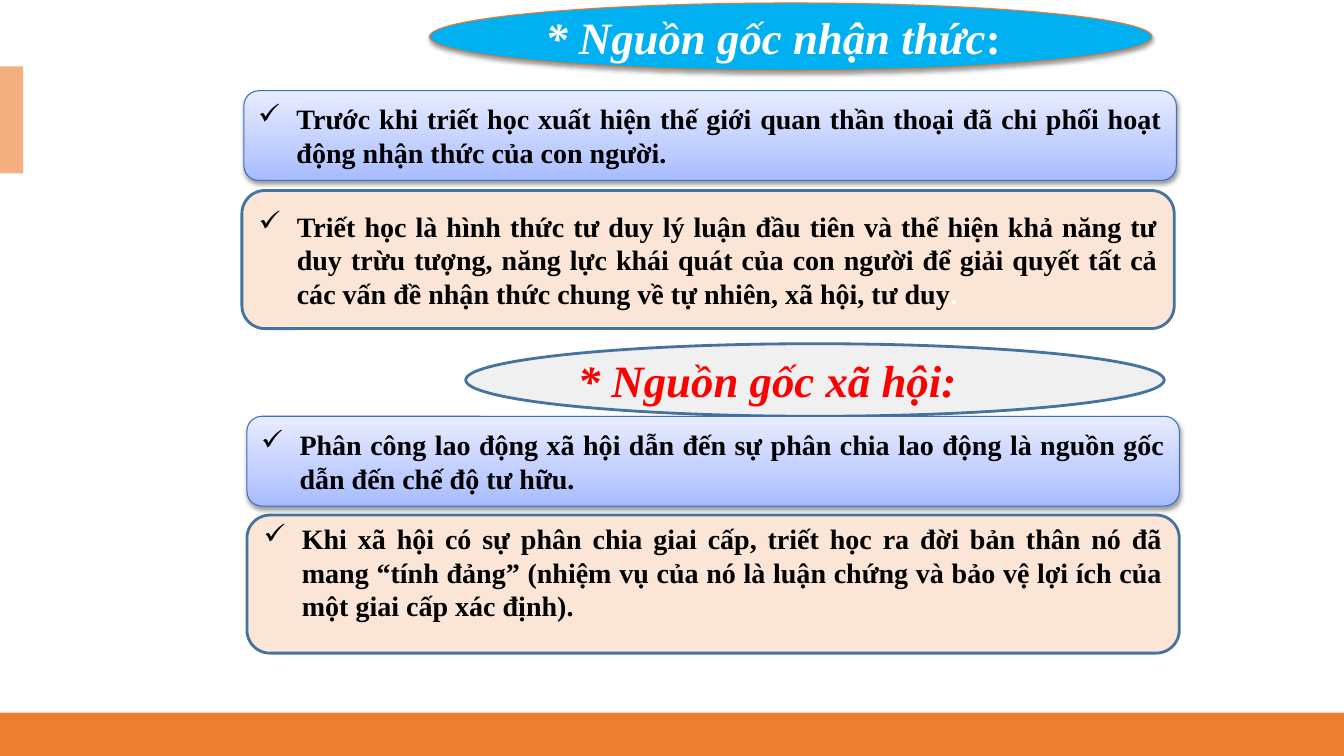
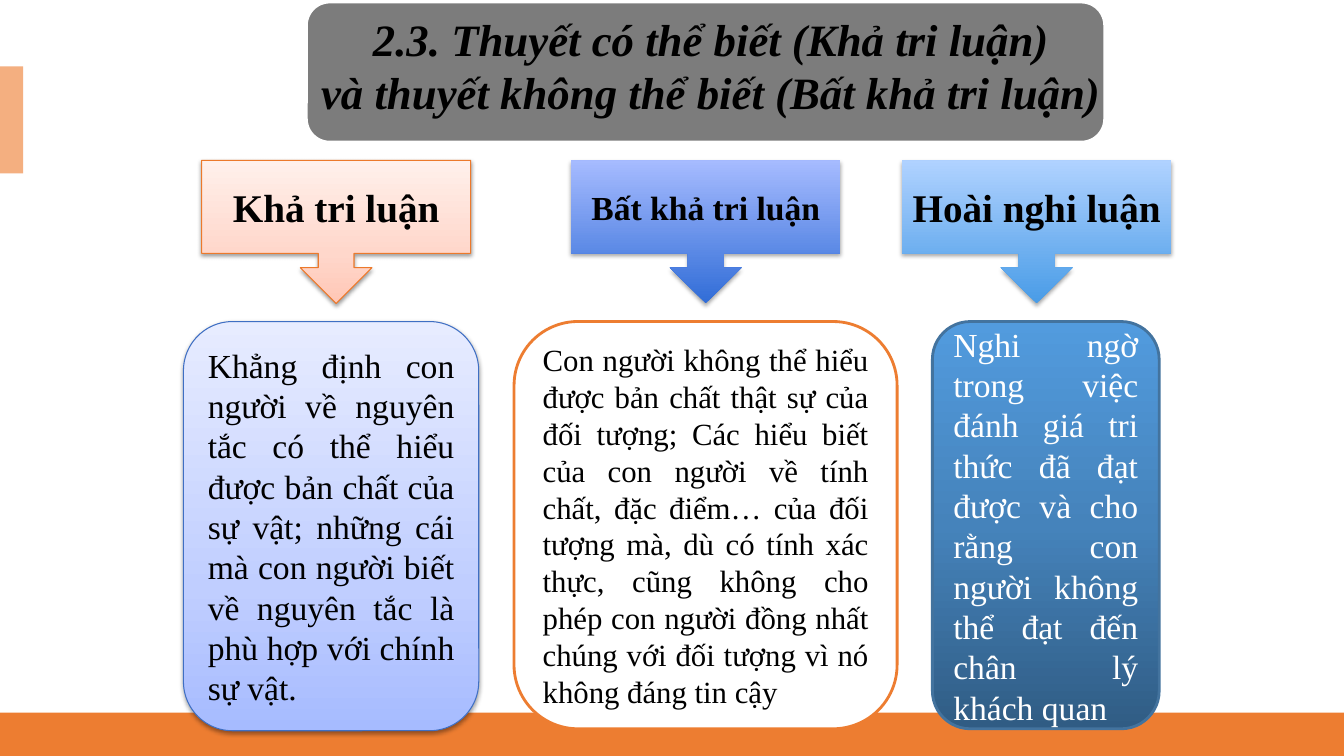
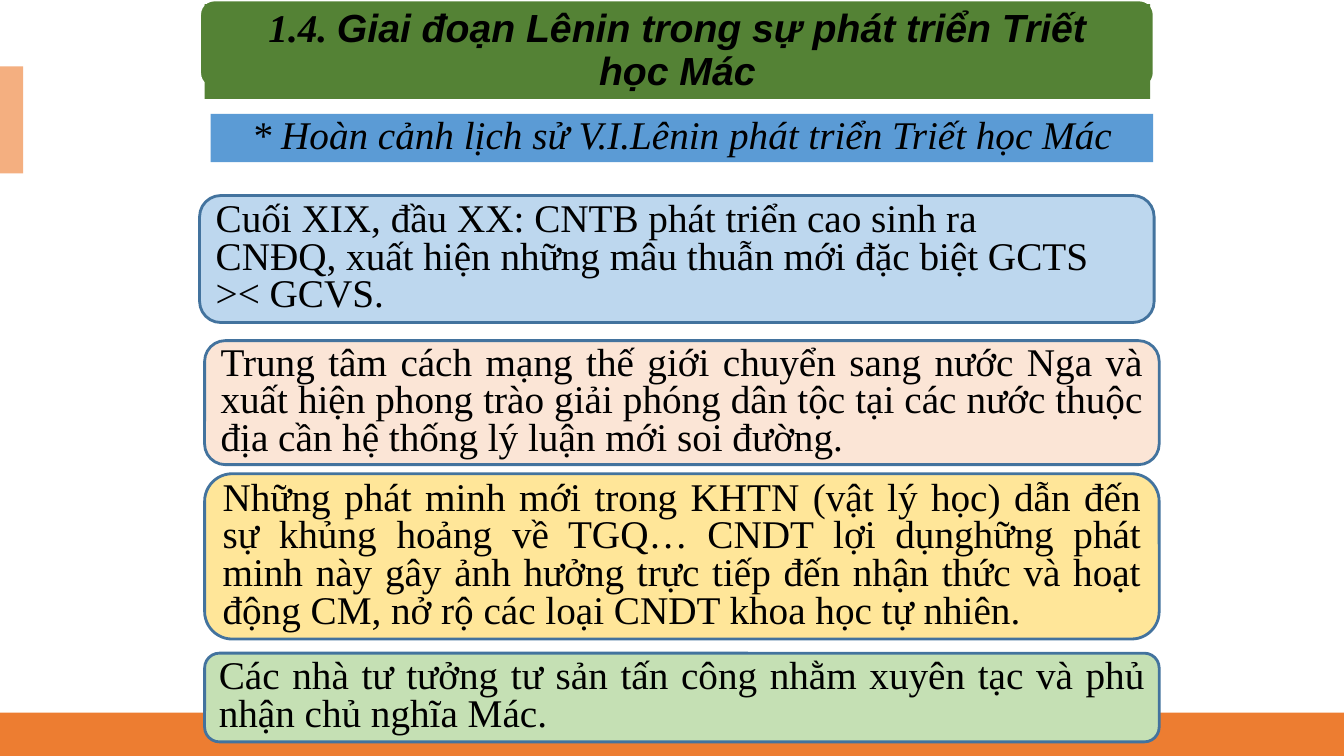
"""Build three lecture slides on the origins, schools and stages of philosophy."""
from lxml.etree import SubElement
from pptx import Presentation
from pptx.dml.color import RGBColor
from pptx.enum.shapes import MSO_SHAPE
from pptx.enum.text import MSO_ANCHOR, MSO_AUTO_SIZE, PP_ALIGN
from pptx.oxml.ns import qn
from pptx.util import Inches, Pt

SERIF = "Times New Roman"
BLACK, WHITE, RED = "000000", "FFFFFF", "FF0000"
ORANGE, PEACH, GREEN = "ED7D31", "FBE5D6", "548235"
STEEL_LINE = ("43739E", 2)
WHITE_LINE = (WHITE, 2)
BLUE_LINE = ("3F6FC3", 0.75)
ORANGE_LINE = ("EC792B", 0.75)
LAVENDER = [(0, "A6BBFF"), (35, "C0CEFF"), (100, "E7ECFF")]
ROSE = [(0, "FFC7B6"), (35, "FFD7CB"), (100, "FFF0EB")]
ROYAL = [(0, "316DD7"), (100, "A6BBFF")]
SKY = [(0, "499CE7"), (100, "B0D2FF")]
DEEP = [(0, "305C84"), (50, "4583BB"), (100, "529BDE")]
SOFT_SHADOW = (38, 1.6)
FIRM_SHADOW = (35, 1.8)

presentation = Presentation()
presentation.slide_width = Inches(13.333)
presentation.slide_height = Inches(7.5)
COLUMN = presentation.slide_width / 40
ROW = presentation.slide_height / 30


def add_box(slide, geometry, box, fill, line=None, shadow=None):
    """Add a preset shape at a (column, row, columns, rows) box."""
    column, row, columns, rows = box
    shape = slide.shapes.add_shape(geometry, int(column * COLUMN), int(row * ROW),
                                   int(columns * COLUMN), int(rows * ROW))
    if isinstance(fill, str):
        shape.fill.solid()
        shape.fill.fore_color.rgb = RGBColor.from_string(fill)
    else:
        shape.fill.gradient()
        shape.fill.gradient_angle = 90
        stops = shape.element.spPr.find(".//" + qn("a:gsLst"))
        stops.clear()
        for position, color in fill:
            stop = SubElement(stops, qn("a:gs"), pos=str(position * 1000))
            SubElement(stop, qn("a:srgbClr"), val=color)
    if line:
        shape.line.color.rgb = RGBColor.from_string(line[0])
        shape.line.width = Pt(line[1])
    else:
        shape.line.fill.background()
    shape.shadow.inherit = False
    if shadow:
        opacity, distance = shadow
        effects = shape.element.spPr.find(qn("a:effectLst"))
        outer = SubElement(effects, qn("a:outerShdw"), blurRad=str(Pt(3.1)),
                           dist=str(Pt(distance)), dir="5400000", rotWithShape="0")
        color = SubElement(outer, qn("a:srgbClr"), val=BLACK)
        SubElement(color, qn("a:alpha"), val=str(opacity * 1000))
    return shape


def write(shape, runs, size, color=BLACK, align=PP_ALIGN.JUSTIFY, spacing=1.0,
          bold=False, italic=False, bullet=False):
    """Fill a shape with one paragraph of (text, font changes) runs."""
    frame = shape.text_frame
    frame.word_wrap = True
    frame.auto_size = MSO_AUTO_SIZE.NONE
    frame.vertical_anchor = MSO_ANCHOR.MIDDLE
    paragraph = frame.paragraphs[0]
    if bullet:
        properties = paragraph._p.get_or_add_pPr()
        properties.set("marL", str(Inches(0.38)))
        properties.set("indent", str(-Inches(0.38)))
        bullet_color = SubElement(properties, qn("a:buClr"))
        SubElement(bullet_color, qn("a:srgbClr"), val=BLACK)
        SubElement(properties, qn("a:buChar"), char="✓")
    paragraph.alignment = align
    paragraph.line_spacing = spacing
    for text, changes in runs:
        for index, piece in enumerate(text.split("\n")):
            if index:
                paragraph.add_line_break()
            run = paragraph.add_run()
            run.text = piece
            run.font.name = changes.get("name", SERIF)
            run.font.size = Pt(size)
            run.font.bold = bold
            run.font.italic = changes.get("italic", italic)
            run.font.color.rgb = RGBColor.from_string(changes.get("color", color))


titles = [
    ((MSO_SHAPE.OVAL, (12.78, 0.12, 21.51, 2.68), "00B0F0", ORANGE_LINE, SOFT_SHADOW),
     (15.93, 0.12, 15.21, 2.68), None, 0.1, 32, WHITE, PP_ALIGN.LEFT, 1.0,
     [("* Nguồn gốc nhận thức", {}), (":", {"italic": False})]),
    ((MSO_SHAPE.ROUNDED_RECTANGLE, (9.12, 0.08, 23.76, 5.56), "7C7C7C", WHITE_LINE),
     (9.45, 0.08, 23.43, 5), None, 0, 32, BLACK, PP_ALIGN.CENTER, 1.0,
     [("2.3. Thuyết có thể biết (Khả tri luận)\n"
       "và thuyết không thể biết (Bất khả tri luận)", {})]),
    ((MSO_SHAPE.ROUNDED_RECTANGLE, (5.94, 0, 28.41, 3.48), GREEN, WHITE_LINE),
     (6.09, 0.16, 28.14, 3.76), GREEN, 0.24, 28, BLACK, PP_ALIGN.CENTER, 0.9,
     [("1.4. ", {}),
      ("Giai đoạn Lênin trong sự phát triển Triết học Mác", {"name": "Arial"})]),
]
slides = []
for backdrop, box, fill, margin, size, color, align, spacing, runs in titles:
    slide = presentation.slides.add_slide(presentation.slide_layouts[5])
    slides.append(slide)
    add_box(slide, *backdrop)
    title = slide.shapes.title
    slide.shapes.element.append(title.element)
    title.left, title.top = int(box[0] * COLUMN), int(box[1] * ROW)
    title.width, title.height = int(box[2] * COLUMN), int(box[3] * ROW)
    if fill:
        title.fill.solid()
        title.fill.fore_color.rgb = RGBColor.from_string(fill)
    frame = title.text_frame
    frame.margin_left = frame.margin_right = Inches(margin)
    frame.margin_top = frame.margin_bottom = 0
    write(title, runs, size, color, align, spacing, bold=True, italic=True)

origins, schools, lenin_stage = slides

master_tree = presentation.slide_master.shapes.element
for box, fill in [((0, 2.64, 0.69, 4.24), "F4AF80"), ((0, 28.28, 40, 1.72), ORANGE)]:
    band = add_box(origins, MSO_SHAPE.RECTANGLE, box, fill)
    master_tree.insert(2, band.element)

social_heading = add_box(origins, MSO_SHAPE.OVAL, (13.86, 13.64, 20.79, 2.88), "F1F0F0", STEEL_LINE)
write(social_heading, [("* Nguồn gốc xã hội:", {})], 32, RED, PP_ALIGN.LEFT, bold=True, italic=True)

lavender_style = (LAVENDER, BLUE_LINE, SOFT_SHADOW)
peach_style = (PEACH, STEEL_LINE)
origin_cards = [
    (7.26, 3.6, 3.56, lavender_style,
     [("Trước khi triết học xuất hiện thế giới quan thần thoại đã chi phối hoạt động "
       "nhận thức của con người.", {})]),
    (7.2, 7.56, 5.48, peach_style,
     [("Triết học là hình thức tư duy lý luận đầu tiên và thể hiện khả năng tư duy trừu "
       "tượng, năng lực khái quát của con người để giải quyết tất cả các vấn đề nhận thức "
       "chung về tự nhiên, xã hội, tư duy", {}), (".", {"color": WHITE})]),
    (7.35, 16.52, 3.56, lavender_style,
     [("Phân công lao động xã hội dẫn đến sự phân chia lao động là nguồn gốc dẫn đến "
       "chế độ tư hữu.", {})]),
    (7.35, 20.44, 5.48, peach_style,
     [("Khi xã hội có sự phân chia giai cấp, triết học ra đời bản thân nó đã mang “tính "
       "đảng” (nhiệm vụ của nó là luận chứng và bảo vệ lợi ích của một giai cấp xác "
       "định).", {})]),
]
for column, row, rows, style, runs in origin_cards:
    card = add_box(origins, MSO_SHAPE.ROUNDED_RECTANGLE, (column, row, 27.75, rows), *style)
    write(card, runs, 20, bold=True, bullet=True)
card.text_frame.vertical_anchor = MSO_ANCHOR.TOP
card.text_frame.margin_top = 0

school_callouts = [
    (6, ROSE, ORANGE_LINE, SOFT_SHADOW, 28, "Khả tri luận"),
    (17, ROYAL, None, FIRM_SHADOW, 24, "Bất khả tri luận"),
    (26.85, SKY, None, FIRM_SHADOW, 28, "Hoài nghi luận"),
]
for column, fill, line, shadow, size, name in school_callouts:
    callout = add_box(schools, MSO_SHAPE.DOWN_ARROW_CALLOUT, (column, 6.36, 8.01, 5.68),
                      fill, line, shadow)
    write(callout, [(name, {})], size, align=PP_ALIGN.CENTER, bold=True)

school_panels = [
    (5.46, 8.79, 16.24, lavender_style, 24, BLACK,
     "Khẳng định con người về nguyên tắc có thể hiểu được bản chất của sự vật; những cái "
     "mà con người biết về nguyên tắc là phù hợp với chính sự vật."),
    (15.3, 11.4, 16.16, (WHITE, (ORANGE, 2)), 22, BLACK,
     "Con người không thể hiểu được bản chất thật sự của đối tượng; Các hiểu biết của con "
     "người về tính chất, đặc điểm… của đối tượng mà, dù có tính xác thực, cũng không cho "
     "phép con người đồng nhất chúng với đối tượng vì nó không đáng tin cậy"),
    (27.75, 6.75, 16.16, (DEEP, STEEL_LINE), 24, WHITE,
     "Nghi ngờ trong việc đánh giá tri thức đã đạt được và cho rằng con người không thể "
     "đạt đến chân lý khách quan"),
]
for column, columns, rows, style, size, color, text in school_panels:
    panel = add_box(schools, MSO_SHAPE.FLOWCHART_ALTERNATE_PROCESS,
                    (column, 12.76, columns, rows), *style)
    write(panel, [(text, {})], size, color)

context_heading = add_box(lenin_stage, MSO_SHAPE.RECTANGLE, (6.27, 4.52, 28.05, 1.92), "5B9BD5")
write(context_heading, [("* Hoàn cảnh lịch sử V.I.Lênin phát triển Triết học Mác", {})], 28,
      align=PP_ALIGN.CENTER, spacing=0.8, italic=True)

context_cards = [
    (5.94, 7.76, 5.04, "BDD7EE", PP_ALIGN.LEFT,
     "Cuối XIX, đầu XX: CNTB phát triển cao sinh ra\n"
     "CNĐQ, xuất hiện những mâu thuẫn mới đặc biệt GCTS >< GCVS."),
    (6.09, 13.52, 4.92, PEACH, PP_ALIGN.JUSTIFY,
     "Trung tâm cách mạng thế giới chuyển sang nước Nga và xuất hiện phong trào giải phóng "
     "dân tộc tại các nước thuộc địa cần hệ thống lý luận mới soi đường."),
    (6.09, 18.8, 6.56, "FFE699", PP_ALIGN.JUSTIFY,
     "Những phát minh mới trong KHTN (vật lý học) dẫn đến sự khủng hoảng về TGQ… CNDT lợi "
     "dụnghững phát minh này gây ảnh hưởng trực tiếp đến nhận thức và hoạt động CM, nở rộ "
     "các loại CNDT khoa học tự nhiên."),
    (6.09, 25.92, 3.52, "C5E0B4", PP_ALIGN.JUSTIFY,
     "Các nhà tư tưởng tư sản tấn công nhằm xuyên tạc và phủ nhận chủ nghĩa Mác."),
]
for column, row, rows, fill, align, text in context_cards:
    card = add_box(lenin_stage, MSO_SHAPE.ROUNDED_RECTANGLE, (column, row, 28.41, rows),
                   fill, STEEL_LINE)
    write(card, [(text, {})], 28, align=align, spacing=0.8)

presentation.save("out.pptx")
